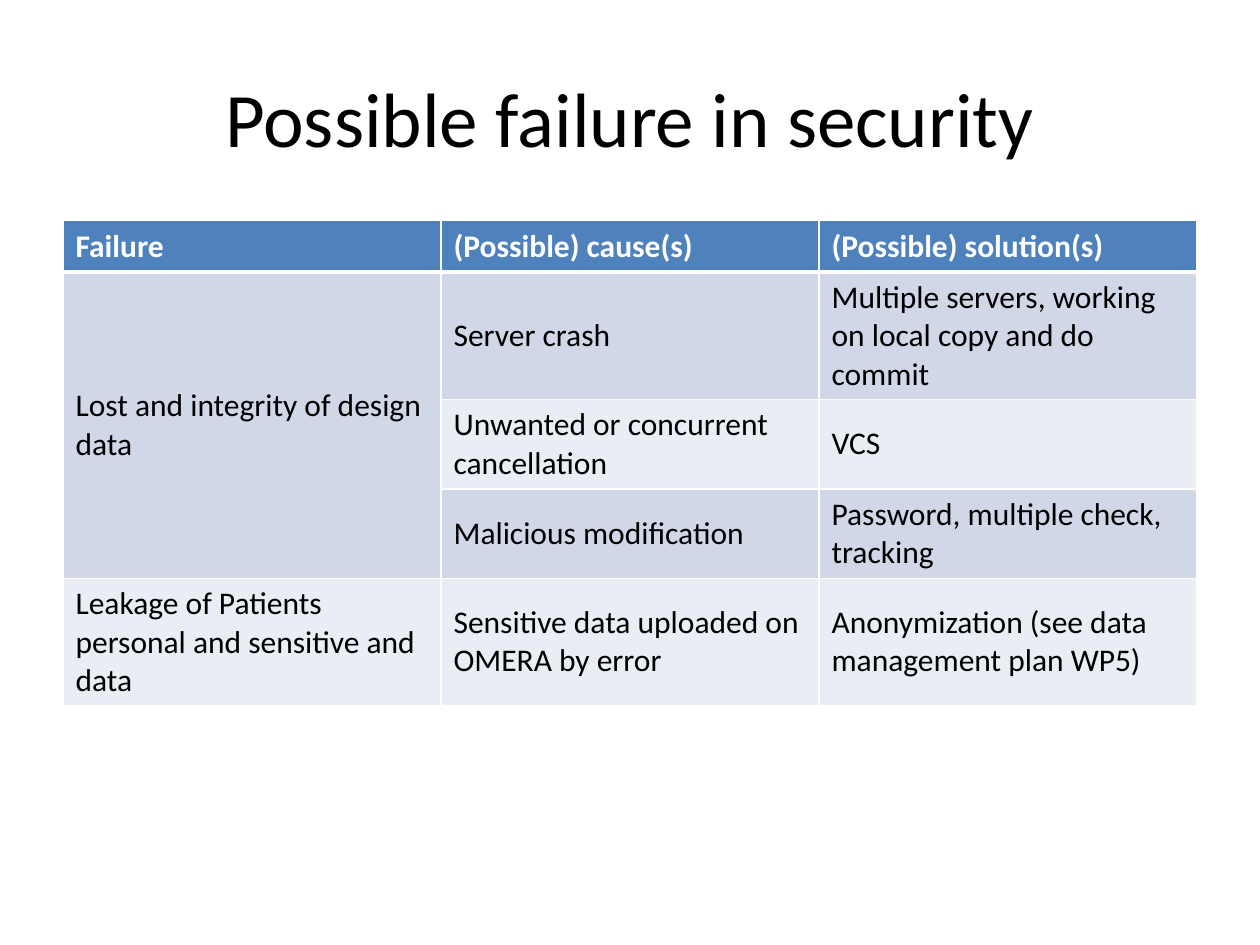
from dataclasses import dataclass

from lxml import etree
from pptx import Presentation
from pptx import util as u
from pptx.dml.color import RGBColor
from pptx.enum import text as t
from pptx.oxml.ns import qn

WHITE = RGBColor(0xFF, 0xFF, 0xFF)
BLACK = RGBColor(0, 0, 0)
BLUE = RGBColor(0x4F, 0x81, 0xBD)
BANDS = (RGBColor(0xE9, 0xED, 0xF4), RGBColor(0xD0, 0xD8, 0xE8))
FONT = "Calibri"
WIDE, HIGH = u.Inches(10), u.Inches(7.5)
EDGE = 0.05  # side margin as a share of the width
LINE = 0.3  # height of one text line, inches
PAD = 0.11  # cell padding above and below together, inches


@dataclass
class Row:
    cells: tuple[str, str, str]
    lines: int
    span: int = 1


ROWS = [
    Row(("Failure", "(Possible) cause(s)", "(Possible) solution(s)"), 1),
    Row(("Lost and integrity of design data", "Server crash",
         "Multiple servers, working on local copy and do commit"), 3, span=3),
    Row(("", "Unwanted or concurrent cancellation", "VCS"), 2),
    Row(("", "Malicious modification", "Password, multiple check, tracking"), 2),
    Row(("Leakage of Patients personal and sensitive and data",
         "Sensitive data uploaded on OMERA by error",
         "Anonymization (see data management plan WP5)"), 3),
]


def write(frame, words: str, *, size: int = 18, color: RGBColor = BLACK,
          bold: bool = False, align=t.PP_ALIGN.LEFT) -> None:
    para = frame.paragraphs[0]
    para.alignment = align
    run = para.add_run()
    run.text = words
    font = run.font
    font.name, font.size, font.bold = FONT, u.Pt(size), bold
    font.color.rgb = color


def border(cell, top: int, base: int) -> None:
    """Draw white cell borders; they must come before the fill in the XML."""
    props = cell._tc.get_or_add_tcPr()
    sides = {"a:lnL": 1, "a:lnR": 1, "a:lnT": top, "a:lnB": base}
    for spot, (tag, width) in enumerate(sides.items()):
        line = etree.Element(qn(tag), w=str(u.Pt(width)))
        fill = etree.SubElement(line, qn("a:solidFill"))
        etree.SubElement(fill, qn("a:srgbClr"), val=str(WHITE))
        props.insert(spot, line)


def add_title(slide, words: str) -> None:
    box = slide.shapes.add_textbox(int(WIDE * EDGE), int(HIGH * 0.04),
                                   int(WIDE * (1 - 2 * EDGE)), int(HIGH / 6))
    frame = box.text_frame
    frame.word_wrap = True
    frame.vertical_anchor = t.MSO_ANCHOR.MIDDLE
    write(frame, words, size=44, align=t.PP_ALIGN.CENTER)


def add_grid(slide, rows: list[Row]) -> None:
    highs = [u.Inches(row.lines * LINE + PAD) for row in rows]
    grid = slide.shapes.add_table(
        len(rows), len(rows[0].cells), int(WIDE * EDGE), u.Inches(1.75),
        int(WIDE * (1 - 2 * EDGE)), sum(highs)).table
    for r, row in enumerate(rows):
        grid.rows[r].height = highs[r]
        head = r == 0
        for c, words in enumerate(row.cells):
            cell = grid.cell(r, c)
            cell.vertical_anchor = t.MSO_ANCHOR.MIDDLE
            cell.fill.solid()
            cell.fill.fore_color.rgb = BLUE if head else BANDS[r % 2]
            border(cell, top=3 if r == 1 else 1, base=3 if head else 1)
            if words:
                write(cell.text_frame, words, bold=head,
                      color=WHITE if head else BLACK)
        if row.span > 1:
            grid.cell(r, 0).merge(grid.cell(r + row.span - 1, 0))


def main() -> None:
    deck = Presentation()
    deck.slide_width, deck.slide_height = WIDE, HIGH
    slide = deck.slides.add_slide(deck.slide_layouts[6])
    add_title(slide, "Possible failure in security")
    add_grid(slide, ROWS)
    deck.save("out.pptx")


if __name__ == "__main__":
    main()
